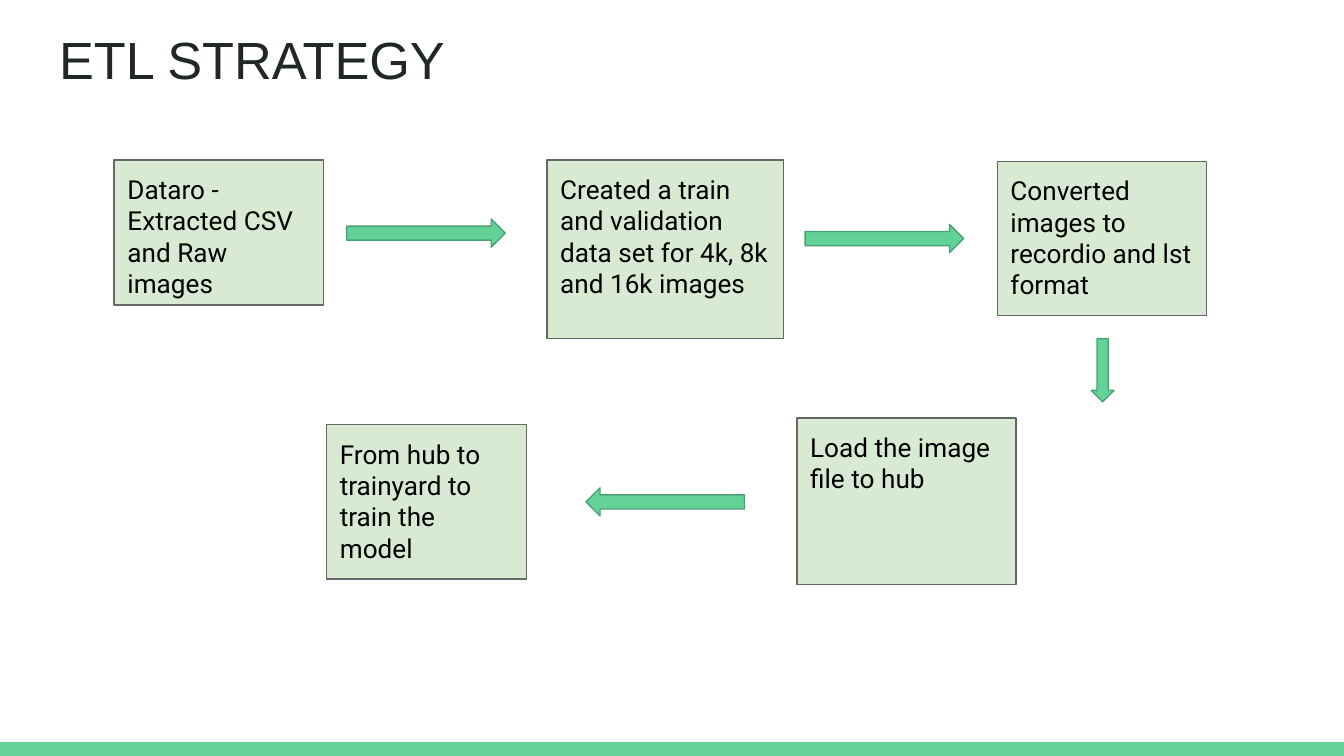
"""Build the ETL strategy slide: five process steps joined by block arrows."""
from pptx import Presentation
from pptx.dml.color import RGBColor
from pptx.enum import shapes, text
from pptx.util import Inches, Pt

COLORS = {
    "accent": "63D297",
    "accent_line": "4BA173",
    "step": "D9EAD3",
    "step_line": "666666",
    "title": "202729",
    "body": "000000",
}
SHAPE = shapes.MSO_SHAPE
ARROW_LENGTH, ARROW_THICKNESS = 1.18, 0.21

STEPS = [
    ("Dataro - Extracted CSV and Raw images", 0.85, 1.19, 1.56, 1.08),
    ("Created a train and validation data set for 4k, 8k and 16k images",
     4.07, 1.19, 1.76, 1.33),
    ("Converted images to recordio and lst format", 7.42, 1.2, 1.56, 1.15),
    ("Load the image file to hub", 5.93, 3.11, 1.63, 1.24),
    ("From hub to trainyard to train the model", 2.43, 3.16, 1.49, 1.15),
]
ARROWS = [
    (SHAPE.RIGHT_ARROW, 2.58, 1.63, ARROW_LENGTH, ARROW_THICKNESS),
    (SHAPE.RIGHT_ARROW, 5.99, 1.67, ARROW_LENGTH, ARROW_THICKNESS),
    (SHAPE.LEFT_ARROW, 4.36, 3.63, ARROW_LENGTH, ARROW_THICKNESS),
    (SHAPE.DOWN_ARROW, 8.12, 2.52, 0.17, 0.47),
]


def color(name):
    return RGBColor.from_string(COLORS[name])


def set_attributes(target, values):
    for name, value in values.items():
        setattr(target, name, value)


def write_text(shape, content, font):
    frame = shape.text_frame
    frame.text = content
    margins = {f"margin_{side}": Inches(0.1)
               for side in ("left", "top", "right", "bottom")}
    set_attributes(frame, {
        "word_wrap": True,
        "auto_size": text.MSO_AUTO_SIZE.NONE,
        "vertical_anchor": text.MSO_ANCHOR.TOP,
        **margins,
    })
    paragraph = frame.paragraphs[0]
    paragraph.alignment = text.PP_ALIGN.LEFT
    run_font = paragraph.runs[0].font
    set_attributes(run_font, {"name": font["name"], "size": Pt(font["size"])})
    run_font.color.rgb = color(font["color"])


def add_block(slide, kind, box, fill, line=None):
    shape = slide.shapes.add_shape(kind, *map(Inches, box))
    shape.shadow.inherit = False
    shape.fill.solid()
    shape.fill.fore_color.rgb = color(fill)
    if line:
        shape.line.color.rgb = color(line)
        shape.line.width = Pt(0.75)
    else:
        shape.line.fill.background()
    return shape


def add_title(slide, content):
    title = slide.shapes.title
    set_attributes(title, {
        "left": Inches(0.34), "top": Inches(0.1),
        "width": Inches(9.32), "height": Inches(0.74),
    })
    write_text(title, content, {"name": "Arial", "size": 28, "color": "title"})


def add_step(slide, content, *box):
    step = add_block(slide, SHAPE.RECTANGLE, box, "step", "step_line")
    write_text(step, content, {"name": "Roboto", "size": 14, "color": "body"})


def add_arrow(slide, kind, *box):
    add_block(slide, kind, box, "accent", "accent_line")


def main():
    presentation = Presentation()
    presentation.slide_width = Inches(10)
    presentation.slide_height = Inches(10) * 9 // 16
    slide = presentation.slides.add_slide(presentation.slide_layouts[5])

    add_block(slide, SHAPE.RECTANGLE, (0, 5.52, 10, 0.11), "accent")
    add_title(slide, "ETL STRATEGY")
    for step in STEPS:
        add_step(slide, *step)
    for arrow in ARROWS:
        add_arrow(slide, *arrow)

    presentation.save("out.pptx")


if __name__ == "__main__":
    main()
